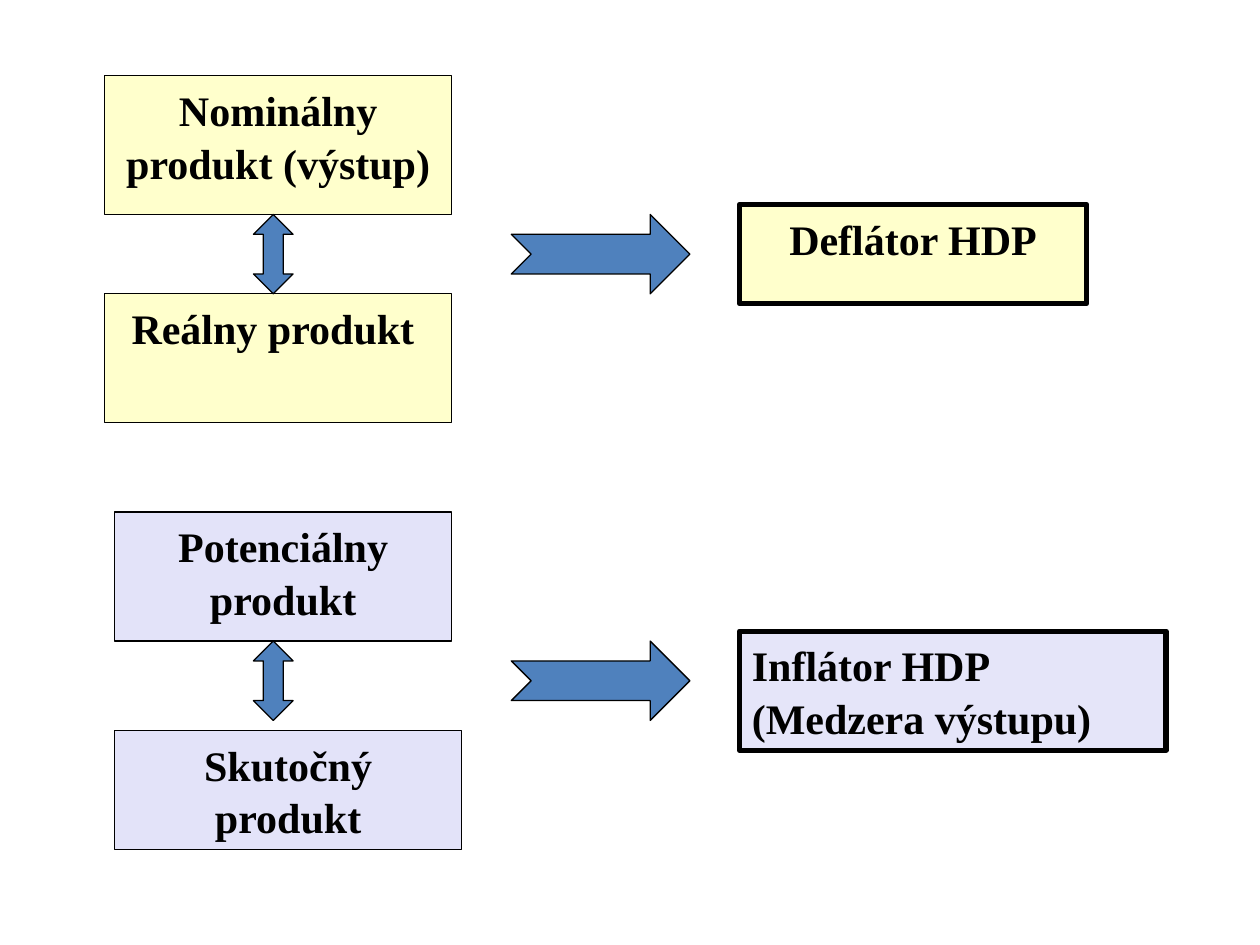
from pptx import Presentation
from pptx.dml.color import RGBColor
from pptx.enum.shapes import MSO_SHAPE as Shape
from pptx.enum.text import MSO_ANCHOR as Anchor, PP_ALIGN as Align
from pptx.util import Cm, Inches, Pt

LEFT, TOP = Inches(0.83), Inches(0.6)
YELLOW, LAVENDER, PALE_LAVENDER, BLUE = "FFFFCC", "E3E3F9", "E5E5F9", "4F81BD"


def grid(steps):
    """Turn a number of 2 mm grid steps into a length."""
    return Cm(0.2 * steps)


def color(hex_code):
    """Turn a hex string into a colour."""
    return RGBColor.from_string(hex_code)


def add_shape(slide, kind, column, row, columns, rows, fill, line=0.75):
    """Add an outlined preset shape placed on the grid."""
    shape = slide.shapes.add_shape(
        kind, LEFT + grid(column), TOP + grid(row), grid(columns), grid(rows))
    shape.shadow.inherit = False
    shape.fill.solid()
    shape.fill.fore_color.rgb = color(fill)
    shape.line.color.rgb = color("000000")
    shape.line.width = Pt(line)
    return shape


def write(shape, text, size=24, font="Times New Roman", align=Align.CENTER):
    """Fill a shape with bold text, one paragraph per line."""
    frame = shape.text_frame
    frame.word_wrap = True
    frame.vertical_anchor = Anchor.TOP
    frame.text = text
    for paragraph in frame.paragraphs:
        paragraph.alignment = align
        paragraph.line_spacing = 1.05
        paragraph.font.size = Pt(size)
        paragraph.font.name = font
        paragraph.font.bold = True
        paragraph.font.color.rgb = color("000000")


def add_box(slide, text, *place, fill, line=0.75, align=Align.CENTER):
    """Add a rectangle with a label."""
    write(add_shape(slide, Shape.RECTANGLE, *place, fill, line), text, align=align)


def add_arrows(slide, row):
    """Add the vertical double arrow and the arrow to the result."""
    add_shape(slide, Shape.NOTCHED_RIGHT_ARROW, 41, row, 18, 8, BLUE)
    double_arrow = add_shape(slide, Shape.LEFT_RIGHT_ARROW, 13, row + 2, 8, 4, BLUE)
    double_arrow.rotation = 90


def main():
    """Build and save the slide."""
    presentation = Presentation()
    presentation.slide_width, presentation.slide_height = Inches(10), Inches(7.5)
    slide = presentation.slides.add_slide(presentation.slide_layouts[6])

    add_box(slide, "Nominálny produkt (výstup)", 0, 0, 35, 14, fill=YELLOW)
    add_box(slide, "Reálny produkt ", 0, 22, 35, 13, fill=YELLOW)
    add_box(slide, "Deflátor HDP", 64, 13, 35, 10, fill=YELLOW, line=3)
    add_box(slide, "Potenciálny produkt", 1, 44, 34, 13, fill=LAVENDER)
    add_box(slide, "Skutočný produkt", 1, 66, 35, 12, fill=LAVENDER)
    for row in (14, 57):
        add_arrows(slide, row)
    add_box(slide, "Inflátor HDP\n(Medzera výstupu)", 64, 56, 43, 12,
            fill=PALE_LAVENDER, line=3, align=Align.LEFT)

    presentation.save("out.pptx")


if __name__ == "__main__":
    main()
